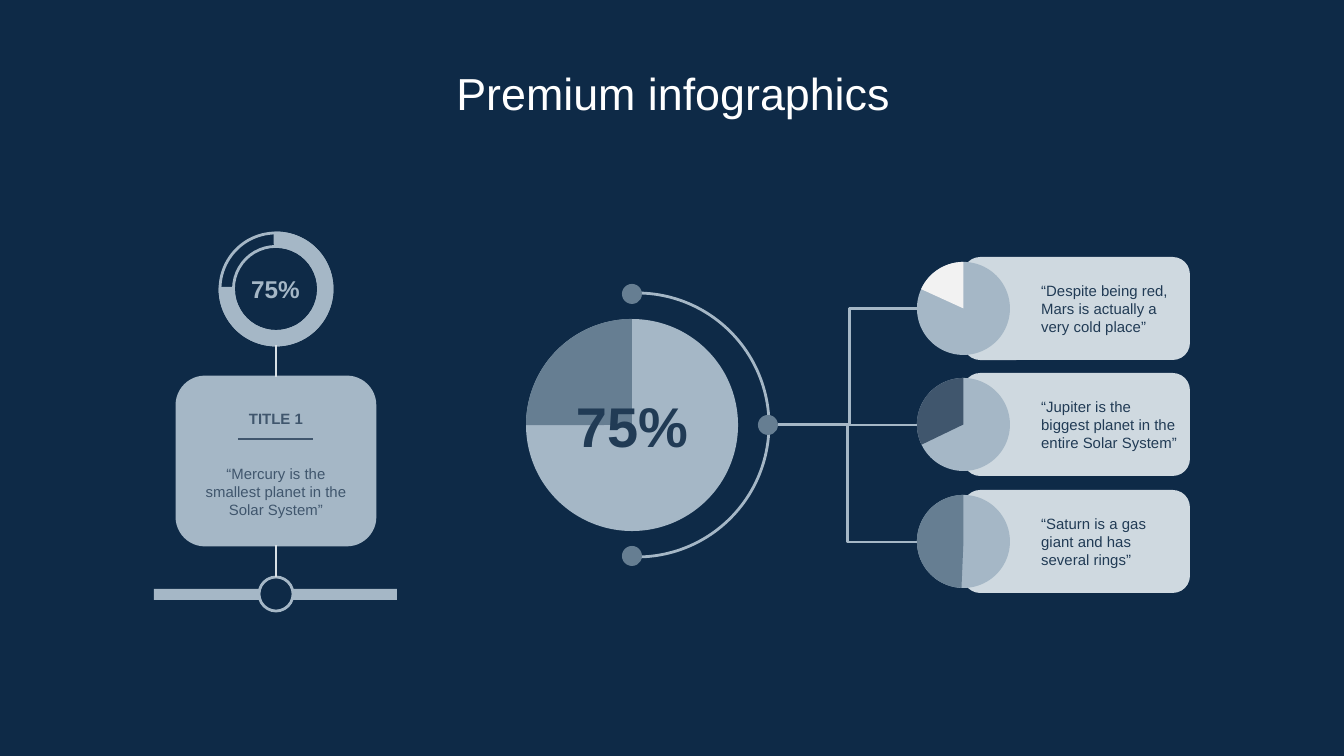
from dataclasses import dataclass

import pptx
import pptx.dml.color
import pptx.enum.shapes
import pptx.enum.text
import pptx.oxml
import pptx.oxml.ns
import pptx.util

SHAPE = pptx.enum.shapes.MSO_SHAPE
CONNECTOR = pptx.enum.shapes.MSO_CONNECTOR
ANCHOR = pptx.enum.text.MSO_ANCHOR
ALIGN = pptx.enum.text.PP_ALIGN
EMU_PER_PX = 914400 / 134.4
TOP_OF_CIRCLE = 162  # 270 degrees, in units of 100000/60000 of a degree


@dataclass(frozen=True)
class Theme:
    navy: str = "0E2A47"
    ink: str = "213B55"
    slate: str = "40566D"
    steel: str = "667E92"
    mist: str = "A5B7C6"
    stem: str = "D7DFE5"
    card: str = "CFD9E0"
    pale: str = "F2F2F2"
    white: str = "FFFFFF"
    font: str = "Arial"
    title_size: int = 24
    hero_size: int = 30
    ring_size: int = 13
    body_size: int = 8
    line: float = 1.5
    hairline: float = 0.75


def px(length):
    return pptx.util.Emu(round(length * EMU_PER_PX))


def rgb(color):
    return pptx.dml.color.RGBColor.from_string(color)


class SlideBuilder:
    def __init__(self, slide, theme):
        self.slide = slide
        self.theme = theme
        slide.background.fill.solid()
        slide.background.fill.fore_color.rgb = rgb(theme.navy)

    def shape(self, kind, box, fill=None, line=None, adjustments=()):
        shape = self.slide.shapes.add_shape(kind, *map(px, box))
        shape.shadow.inherit = False
        for index, value in enumerate(adjustments):
            shape.adjustments[index] = value
        if fill:
            shape.fill.solid()
            shape.fill.fore_color.rgb = rgb(fill)
        else:
            shape.fill.background()
        if line:
            shape.line.color.rgb = rgb(line)
            shape.line.width = pptx.util.Pt(self.theme.line)
        else:
            shape.line.fill.background()
        return shape

    def pie(self, box, slice_start, slice_color):
        """Draw a full disc with one slice that ends at twelve o'clock."""
        self.shape(SHAPE.OVAL, box, self.theme.mist)
        self.shape(SHAPE.PIE, box, slice_color, adjustments=(slice_start, TOP_OF_CIRCLE))

    def dot(self, center_x, center_y):
        self.shape(SHAPE.OVAL, (center_x - 10, center_y - 10, 20, 20), self.theme.steel)

    def connector(self, start, end, color, width, bend=None):
        kind = CONNECTOR.STRAIGHT if bend is None else CONNECTOR.ELBOW
        connector = self.slide.shapes.add_connector(kind, *map(px, start + end))
        connector.line.color.rgb = rgb(color)
        connector.line.width = pptx.util.Pt(width)
        properties = connector._element.spPr
        if bend is not None:
            guides = properties.find(pptx.oxml.ns.qn("a:prstGeom")).get_or_add_avLst()
            guide = pptx.oxml.parse_xml(
                f'<a:gd {pptx.oxml.ns.nsdecls("a")} name="adj1" fmla="val {round(bend * 100000)}"/>')
            guides.append(guide)
        properties.append(pptx.oxml.parse_xml(f'<a:effectLst {pptx.oxml.ns.nsdecls("a")}/>'))
        return connector

    def format_text(self, frame, text, size, color, bold, align, anchor):
        frame.text = text
        frame.word_wrap = True
        frame.auto_size = pptx.enum.text.MSO_AUTO_SIZE.NONE
        frame.vertical_anchor = anchor
        frame.margin_left = frame.margin_right = pptx.util.Inches(0.1)
        frame.margin_top = frame.margin_bottom = pptx.util.Inches(0.1)
        paragraph = frame.paragraphs[0]
        paragraph.alignment = align
        font = paragraph.runs[0].font
        font.name = self.theme.font
        font.size = pptx.util.Pt(size)
        font.bold = bold
        font.color.rgb = rgb(color)

    def text(self, box, text, size, color, bold=False, align=ALIGN.CENTER):
        frame = self.slide.shapes.add_textbox(*map(px, box)).text_frame
        self.format_text(frame, text, size, color, bold, align, ANCHOR.MIDDLE)

    def title(self, box, text):
        title = self.slide.shapes.title
        title.left, title.top, title.width, title.height = map(px, box)
        self.format_text(title.text_frame, text, self.theme.title_size, self.theme.white,
                         False, ALIGN.CENTER, ANCHOR.TOP)
        title.text_frame.paragraphs[0].line_spacing = 1.1


def add_mercury_panel(builder):
    theme = builder.theme
    axis = 276
    builder.shape(SHAPE.RECTANGLE, (154, 589, 243, 11), theme.mist)
    card = builder.shape(SHAPE.ROUNDED_RECTANGLE, (axis - 99, 377, 198, 168),
                         theme.mist, theme.mist, (0.167,))
    knob = builder.shape(SHAPE.OVAL, (axis - 17, 577, 34, 34), theme.navy, theme.mist)
    lower_stem = builder.connector((axis, 545), (axis, 577), theme.stem, theme.hairline)
    lower_stem.begin_connect(card, 2)
    lower_stem.end_connect(knob, 0)
    builder.text((191, 458, 170, 67), "“Mercury is the smallest planet in the Solar System”",
                 theme.body_size, theme.slate)
    builder.connector((238, 439), (313, 439), theme.slate, theme.line)
    builder.text((214, 402, 124, 33), "TITLE 1", theme.body_size, theme.slate, bold=True)

    ring = (axis - 56, 233, 112, 112)
    builder.shape(SHAPE.DONUT, ring, line=theme.mist, adjustments=(0.12,))
    builder.shape(SHAPE.BLOCK_ARC, ring, theme.mist, theme.mist, (161.34, 108.42, 0.12))
    upper_stem = builder.connector((axis, 345), (axis, 377), theme.stem, theme.hairline)
    upper_stem.end_connect(card, 0)
    builder.text((233, 262, 85, 54), "75%", theme.ring_size, theme.mist, bold=True)


def add_planet_cards(builder):
    """Draw the three fact cards, their pies and the branches that lead to them."""
    theme = builder.theme
    planets = [
        ("“Despite being red, Mars is actually a very cold place”", 122.72, theme.pale, 0.515),
        ("“Jupiter is the biggest planet in the entire Solar System”", 92.53, theme.slate, 0.5),
        ("“Saturn is a gas giant and has several rings”", 55.44, theme.steel, 0.5),
    ]
    for index, (fact, slice_start, slice_color, bend) in enumerate(planets):
        top = 257 + 233 * index // 2
        builder.shape(SHAPE.ROUNDED_RECTANGLE, (963, top, 227, 103), theme.card,
                      adjustments=(0.167,))
        builder.text((1028, top + 19, 167, 65), fact, theme.body_size, theme.ink,
                     align=ALIGN.LEFT)
        builder.pie((917, top + 5, 93, 93), slice_start, slice_color)
        builder.connector((778, 425), (917, top + 52), theme.mist, theme.line, bend)


def add_main_pie(builder):
    theme = builder.theme
    builder.shape(SHAPE.ARC, (505, 293, 264, 264), line=theme.mist,
                  adjustments=(TOP_OF_CIRCLE, 52.98))
    builder.pie((526, 319, 212, 212), 107.98, theme.steel)
    for center in ((632, 294), (632, 556), (768, 425)):
        builder.dot(*center)
    builder.text((559, 379, 146, 93), "75%", theme.hero_size, theme.ink, bold=True)


def main():
    presentation = pptx.Presentation()
    presentation.slide_width, presentation.slide_height = px(1344), px(756)
    slide = presentation.slides.add_slide(presentation.slide_layouts[5])
    builder = SlideBuilder(slide, Theme())
    builder.title((155, 47, 1036, 71), "Premium infographics")
    add_mercury_panel(builder)
    add_planet_cards(builder)
    add_main_pie(builder)
    presentation.save("out.pptx")


if __name__ == "__main__":
    main()
